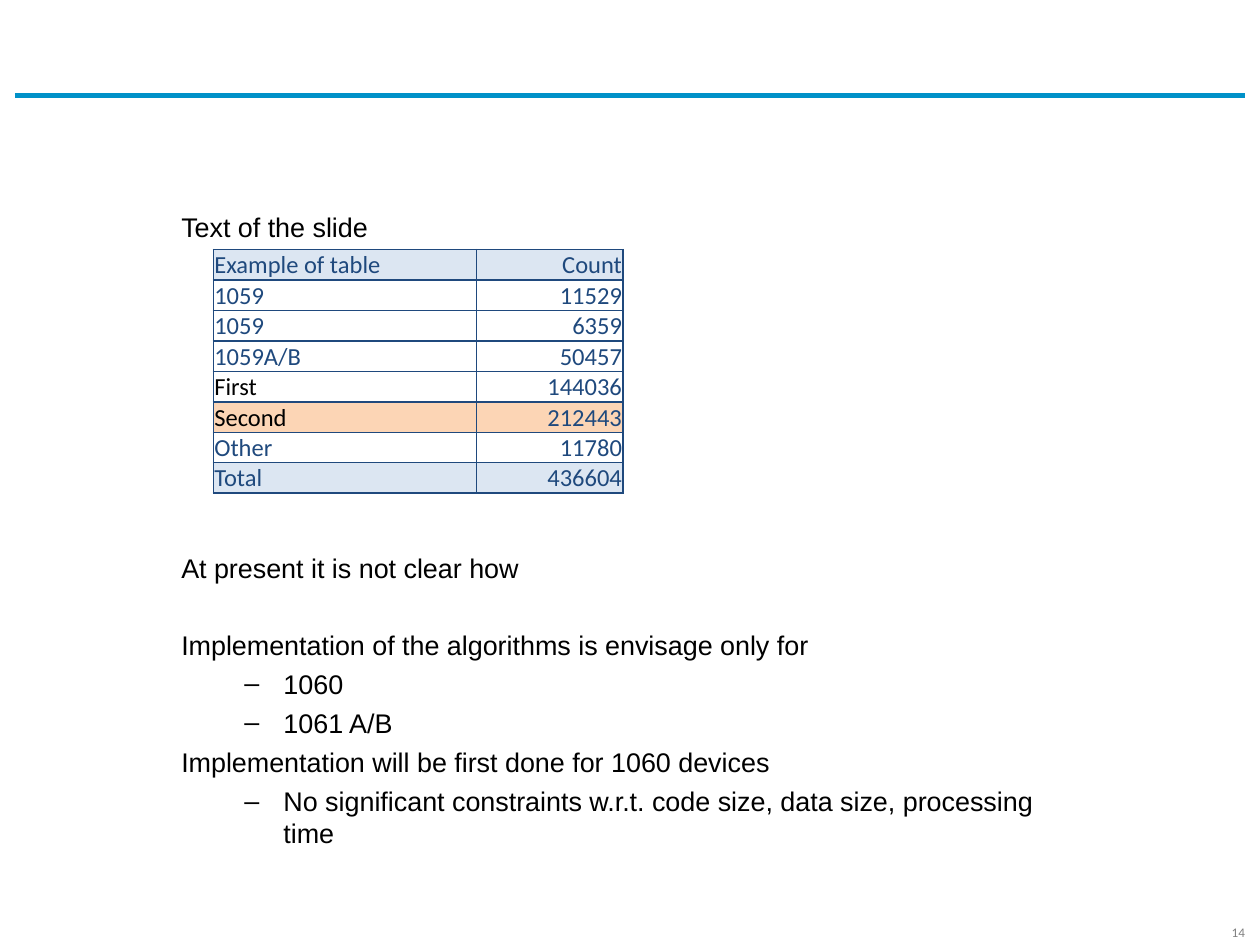
from dataclasses import dataclass
from typing import Any

from lxml.etree import SubElement
from pptx import Presentation
from pptx.dml.color import RGBColor
from pptx.enum.shapes import MSO_CONNECTOR as Connector
from pptx.enum.text import MSO_ANCHOR as Anchor, MSO_AUTO_SIZE as AutoSize, PP_ALIGN as Align
from pptx.oxml import parse_xml
from pptx.oxml.ns import nsdecls, qn
from pptx.util import Cm, Pt

BLACK = RGBColor(0x00, 0x00, 0x00)
GREY = RGBColor(0x80, 0x80, 0x80)
NAVY = RGBColor(0x1F, 0x49, 0x7D)
RULE_BLUE = RGBColor(0x00, 0x91, 0xC8)
PALE_BLUE = RGBColor(0xDC, 0xE6, 0xF2)
PEACH = RGBColor(0xFC, 0xD5, 0xB5)

BODY_FONT = {"name": "Arial", "size": Pt(15.4)}
TABLE_FONT = {"name": "Calibri", "size": Pt(14), "bold": False}
NUMBER_FONT = {"name": "Calibri", "size": Pt(7.5)}
CELL_FORMAT = {
    "vertical_anchor": Anchor.BOTTOM,
    "margin_left": Cm(0.02),
    "margin_right": Cm(0.02),
    "margin_top": Cm(0.02),
    "margin_bottom": 0,
}
PLAIN_TABLE = {"first_row": False, "horz_banding": False}
TIGHT_BOX = {
    "margin_left": 0,
    "margin_right": 0,
    "margin_top": 0,
    "margin_bottom": 0,
    "vertical_anchor": Anchor.MIDDLE,
    "word_wrap": True,
}

LINE_GAP = 3.87
LINE_PITCH = 21.57
ROW_HEIGHT = Cm(0.61)
COLUMN_WIDTHS = (Cm(5.31), Cm(2.95))


@dataclass
class Line:
    text: str
    level: int = 0
    skipped_lines: int = 0


@dataclass
class Row:
    label: str
    count: str
    fill: RGBColor | None = None
    label_color: RGBColor = NAVY


LINES = [
    Line("Text of the slide"),
    Line("At present it is not clear how", skipped_lines=8),
    Line("Implementation of the algorithms is envisage only for", skipped_lines=1),
    Line("1060", level=1),
    Line("1061 A/B", level=1),
    Line("Implementation will be first done for 1060 devices"),
    Line("No significant constraints w.r.t. code size, data size, processing time", level=1),
]

ROWS = [
    Row("Example of table", "Count", PALE_BLUE),
    Row("1059", "11529"),
    Row("1059", "6359"),
    Row("1059A/B", "50457"),
    Row("First", "144036", label_color=BLACK),
    Row("Second", "212443", PEACH, BLACK),
    Row("Other", "11780"),
    Row("Total", "436604", PALE_BLUE),
]


def apply_format(target: Any, values: dict[str, Any]) -> None:
    for name, value in values.items():
        setattr(target, name, value)


def write_span(para: Any, text: str, font: dict[str, Any], color: RGBColor) -> None:
    span = para.add_run()
    span.text = text
    apply_format(span.font, font)
    span.font.color.rgb = color


def draw_rule(page: Any) -> None:
    rule = page.shapes.add_connector(Connector.STRAIGHT, Cm(0.3), Cm(1.93), Cm(25.1), Cm(1.93))
    rule.line.color.rgb = RULE_BLUE
    rule.line.width = Pt(3)
    SubElement(rule._element.spPr, qn("a:effectLst"))


def write_body(box: Any, lines: list[Line]) -> None:
    apply_format(box, {"left": Cm(3.4), "top": Cm(4.11), "width": Cm(18.6), "height": Cm(11.86)})
    frame = box.text_frame
    frame.auto_size = AutoSize.NONE
    for index, line in enumerate(lines):
        para = frame.add_paragraph() if index else frame.paragraphs[0]
        para.level = line.level
        para.space_before = Pt(LINE_GAP + line.skipped_lines * LINE_PITCH if index else 0)
        properties = para._p.get_or_add_pPr()
        margin, indent = (Cm(2.06), Cm(-0.79)) if line.level else (0, 0)
        properties.set("marL", str(margin))
        properties.set("indent", str(indent))
        if line.level:
            SubElement(properties, qn("a:buChar")).set("char", "–")
        else:
            SubElement(properties, qn("a:buNone"))
        write_span(para, line.text, BODY_FONT, BLACK)


def add_borders(cell: Any) -> None:
    properties = cell._tc.get_or_add_tcPr()
    for index, side in enumerate(("lnL", "lnR", "lnT", "lnB")):
        border = parse_xml(
            f'<a:{side} {nsdecls("a")} w="{Pt(1)}"><a:solidFill>'
            f'<a:srgbClr val="{NAVY}"/></a:solidFill></a:{side}>'
        )
        properties.insert(index, border)


def fill_cell(cell: Any, text: str, align: Align, color: RGBColor, fill: RGBColor | None) -> None:
    apply_format(cell, CELL_FORMAT)
    para = cell.text_frame.paragraphs[0]
    para.alignment = align
    write_span(para, text, TABLE_FONT, color)
    if fill is None:
        cell.fill.background()
    else:
        cell.fill.solid()
        cell.fill.fore_color.rgb = fill
    add_borders(cell)


def draw_table(page: Any, rows: list[Row]) -> None:
    table = page.shapes.add_table(
        len(rows), len(COLUMN_WIDTHS), Cm(4.3), Cm(5.03), sum(COLUMN_WIDTHS), ROW_HEIGHT * len(rows)
    ).table
    apply_format(table, PLAIN_TABLE)
    for column, width in zip(table.columns, COLUMN_WIDTHS):
        column.width = width
    for index, row in enumerate(rows):
        table.rows[index].height = ROW_HEIGHT
        fill_cell(table.cell(index, 0), row.label, Align.LEFT, row.label_color, row.fill)
        fill_cell(table.cell(index, 1), row.count, Align.RIGHT, NAVY, row.fill)


def write_page_number(page: Any, number: str) -> None:
    box = page.shapes.add_textbox(Cm(22.1), Cm(18.52), Cm(3), Cm(0.53))
    apply_format(box.text_frame, TIGHT_BOX)
    para = box.text_frame.paragraphs[0]
    para.alignment = Align.RIGHT
    write_span(para, number, NUMBER_FONT, GREY)


def main() -> None:
    deck = Presentation()
    apply_format(deck, {"slide_width": Cm(25.4), "slide_height": Cm(19.05)})
    page = deck.slides.add_slide(deck.slide_layouts[1])
    title = page.shapes.title._element
    title.getparent().remove(title)
    draw_rule(page)
    write_body(page.placeholders[1], LINES)
    write_page_number(page, "14")
    draw_table(page, ROWS)
    deck.save("out.pptx")


if __name__ == "__main__":
    main()
